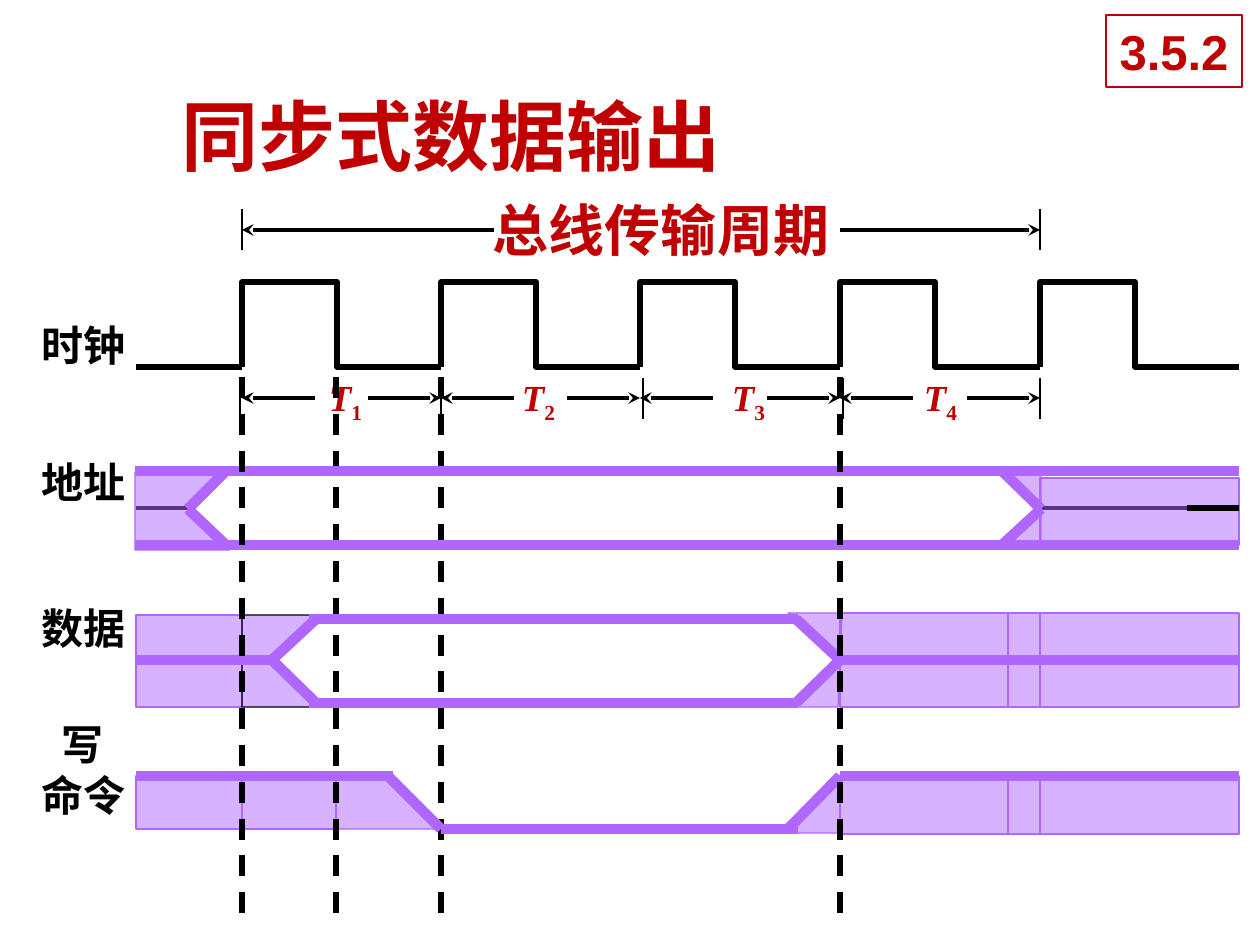
from itertools import pairwise
from lxml.etree import SubElement
from pptx import Presentation
from pptx.dml.color import RGBColor
from pptx.enum.dml import MSO_LINE
from pptx.enum.shapes import MSO_CONNECTOR, MSO_SHAPE
from pptx.enum.text import MSO_AUTO_SIZE
from pptx.oxml.ns import qn
from pptx.util import Emu, Pt

RED = RGBColor(0xC0, 0x00, 0x00)
BLACK = RGBColor(0x00, 0x00, 0x00)
WHITE = RGBColor(0xFF, 0xFF, 0xFF)
PURPLE = RGBColor(0xAF, 0x67, 0xFF)
SCALE = 914400 / 126
PERIODS = [242, 441, 640, 840, 1040, 1239]
ADDRESS_TOP, ADDRESS_MIDDLE, ADDRESS_BOTTOM = 471, 508, 545
DATA_TOP, DATA_MIDDLE, DATA_BOTTOM = 619, 660, 703
WRITE_HIGH, WRITE_LOW = 776, 829


def px(length):
    return Emu(round(length * SCALE))


class TimingDiagram:
    """Draws the parts of a bus timing diagram on one slide."""

    def __init__(self, slide):
        self.shapes = slide.shapes

    def run(self, paragraph, text, size, font, color, italic=False, baseline=None):
        run = paragraph.add_run()
        run.text = text
        run.font.size = Pt(size)
        run.font.name = font
        run.font.bold = True
        run.font.italic = italic
        run.font.color.rgb = color
        if baseline:
            run.font._element.set("baseline", str(baseline))

    def text_box(self, x, y, width, height, inset=(0, 0), wrap=False):
        shape = self.shapes.add_textbox(px(x), px(y), px(width), px(height))
        self.frame(shape, inset, wrap)
        return shape.text_frame.paragraphs[0]

    def frame(self, shape, inset, wrap=False):
        frame = shape.text_frame
        frame.margin_left = frame.margin_right = px(inset[0])
        frame.margin_top = frame.margin_bottom = px(inset[1])
        frame.word_wrap = wrap
        frame.auto_size = MSO_AUTO_SIZE.SHAPE_TO_FIT_TEXT

    def badge(self, text, x, y, width, height):
        shape = self.shapes.add_shape(MSO_SHAPE.RECTANGLE, px(x), px(y), px(width), px(height))
        shape.shadow.inherit = False
        shape.fill.solid()
        shape.fill.fore_color.rgb = WHITE
        shape.line.color.rgb = RED
        shape.line.width = Pt(0.75)
        self.frame(shape, (13, 6))
        self.run(shape.text_frame.paragraphs[0], text, 28, "Arial", RED)

    def label(self, text, x, y, width=116):
        paragraph = self.text_box(x, y, width, 63, (0, 6), True)
        self.run(paragraph, text, 24, "Times New Roman", BLACK)
        return paragraph

    def period_label(self, number, x):
        paragraph = self.text_box(x, 375, 35, 44)
        self.run(paragraph, "T", 21, "Times New Roman", RED, italic=True)
        self.run(paragraph, str(number), 21, "Times New Roman", RED, baseline=-25000)

    def line(self, start, end, width, color=BLACK, arrow=False, dash=False):
        connector = self.shapes.add_connector(
            MSO_CONNECTOR.STRAIGHT, *(px(value) for value in (*start, *end)))
        connector.line.color.rgb = color
        connector.line.width = Pt(width)
        if dash:
            connector.line.dash_style = MSO_LINE.DASH
        properties = connector._element.spPr
        if arrow:
            SubElement(properties.find(qn("a:ln")), qn("a:tailEnd"), type="stealth")
        SubElement(properties, qn("a:effectLst"))

    def dash(self, x):
        self.line((x, 377), (x, 922), 3, dash=True)

    def rail(self, y, *stops):
        for left, right in pairwise(stops):
            self.line((left, y), (right, y), 6, PURPLE)

    def slope(self, start, end):
        self.line(start, end, 6, PURPLE)

    def outline(self, points, color, width):
        builder = self.shapes.build_freeform(*points[0], scale=SCALE)
        builder.add_line_segments(points[1:], close=False)
        shape = builder.convert_to_shape()
        shape.shadow.inherit = False
        shape.fill.background()
        shape.line.color.rgb = color
        shape.line.width = Pt(width)
        return shape

    def tint(self, shape, line_color=PURPLE):
        shape.shadow.inherit = False
        shape.fill.solid()
        shape.fill.fore_color.rgb = PURPLE
        color = shape._element.spPr.find(qn("a:solidFill"))[0]
        SubElement(color, qn("a:alpha"), val="50000")
        shape.line.color.rgb = line_color
        shape.line.width = Pt(0.75)

    def band(self, left, top, right, bottom):
        self.tint(self.shapes.add_shape(
            MSO_SHAPE.RECTANGLE, px(left), px(top), px(right - left), px(bottom - top)))

    def region(self, points, line_color=PURPLE):
        self.tint(self.outline(points, line_color, 0.75), line_color)


def draw_clock(diagram):
    diagram.line((242, 367), (136, 367), 3)
    for left, right in pairwise(PERIODS):
        diagram.outline([(left, 367), (left, 282), (left + 95, 282),
                         (left + 95, 367), (right, 367)], BLACK, 3)
    for left, right in pairwise(PERIODS[:-1]):
        diagram.line((left + 73, 398), (left, 398), 2.25, arrow=True)
        diagram.line((right - 73, 398), (right, 398), 2.25, arrow=True)
    for x in (240, 441, 643, 843, 1040):
        diagram.line((x, 378), (x, 419), 1.25)
    for x, inner in ((242, 494), (1040, 840)):
        diagram.line((x, 209), (x, 250), 1.25)
        diagram.line((inner, 230), (x, 230), 2.25, arrow=True)
    for number, x in enumerate((329, 522, 732, 924), 1):
        diagram.period_label(number, x)


def draw_fills(diagram):
    diagram.line((136, ADDRESS_MIDDLE), (190, ADDRESS_MIDDLE), 2.5)
    diagram.line((1040, ADDRESS_MIDDLE), (1207, ADDRESS_MIDDLE), 2.5)
    diagram.region([(188, 508), (229, 471), (135, 472), (135, 550), (230, 550)])
    diagram.band(136, 615, 242, 707)
    diagram.region([(321, 615), (242, 615), (242, 707), (315, 707), (271, 659)], BLACK)
    diagram.band(136, WRITE_HIGH, 242, WRITE_LOW)
    diagram.band(242, WRITE_HIGH, 336, WRITE_LOW)
    diagram.region([(336, 776), (388, 776), (441, 829), (336, 829)])
    diagram.region([(788, 613), (842, 613), (838, 707), (793, 707), (839, 658), (788, 613)])
    diagram.region([(839, 775), (777, 833), (842, 833)])
    diagram.region([(1005, 470), (1041, 470), (1041, 545), (997, 545), (1043, 510)])
    diagram.band(1040, 478, 1239, 545)
    for left, right in pairwise((840, 1008, 1040, 1239)):
        diagram.band(left, 613, right, 707)
        diagram.band(left, 776, right, 834)
    diagram.line((1187, ADDRESS_MIDDLE), (1239, ADDRESS_MIDDLE), 3)


def draw_signals(diagram):
    for y in (ADDRESS_TOP, ADDRESS_BOTTOM):
        diagram.rail(y, 135, 242, 336, 441, 640, 798, 840, 1008, 1040, 1239)
    for y in (DATA_TOP, DATA_BOTTOM):
        diagram.rail(y, 309, 336, 441, 640, 798)
        diagram.slope((316, y), (272, DATA_MIDDLE))
        diagram.slope((840, DATA_MIDDLE), (796, y))
    for y in (ADDRESS_TOP, ADDRESS_BOTTOM):
        diagram.slope((226, y), (188, 509))
        diagram.slope((1041, 509), (1002, y))
    diagram.rail(DATA_MIDDLE, 136, 242, 273)
    diagram.rail(DATA_MIDDLE, 840, 1008, 1040, 1239)
    diagram.rail(WRITE_HIGH, 136, 242, 336, 393)
    diagram.slope((388, WRITE_HIGH), (441, WRITE_LOW))
    diagram.rail(WRITE_LOW, 441, 640, 798)
    diagram.slope((840, WRITE_HIGH), (788, WRITE_LOW))
    diagram.rail(WRITE_HIGH, 840, 1008, 1040, 1239)


def main():
    presentation = Presentation()
    presentation.slide_width, presentation.slide_height = px(1260), px(945)
    diagram = TimingDiagram(presentation.slides.add_slide(presentation.slide_layouts[6]))
    title = diagram.text_box(169, 83, 570, 106, (13, 6))
    diagram.run(title, "同步式数据输出", 44, "Noto Sans CJK SC", RED)
    diagram.badge("3.5.2", 1106, 15, 136, 72)
    cycle = diagram.text_box(493, 195, 339, 68)
    diagram.run(cycle, "总线传输周期", 32, "Arial", RED)
    for text, y in (("时钟", 314), ("地址", 451), ("数据", 597)):
        diagram.label(text, 42, y)
    write = diagram.label("写", 42, 713)
    write._p.get_or_add_pPr().set("marL", str(px(20)))
    command = write._parent.add_paragraph()
    diagram.run(command, "命令", 24, "Times New Roman", BLACK)
    draw_clock(diagram)
    draw_fills(diagram)
    for x in (336, 441):
        diagram.dash(x)
    draw_signals(diagram)
    for x in (242, 840):
        diagram.dash(x)
    presentation.save("out.pptx")


if __name__ == "__main__":
    main()
